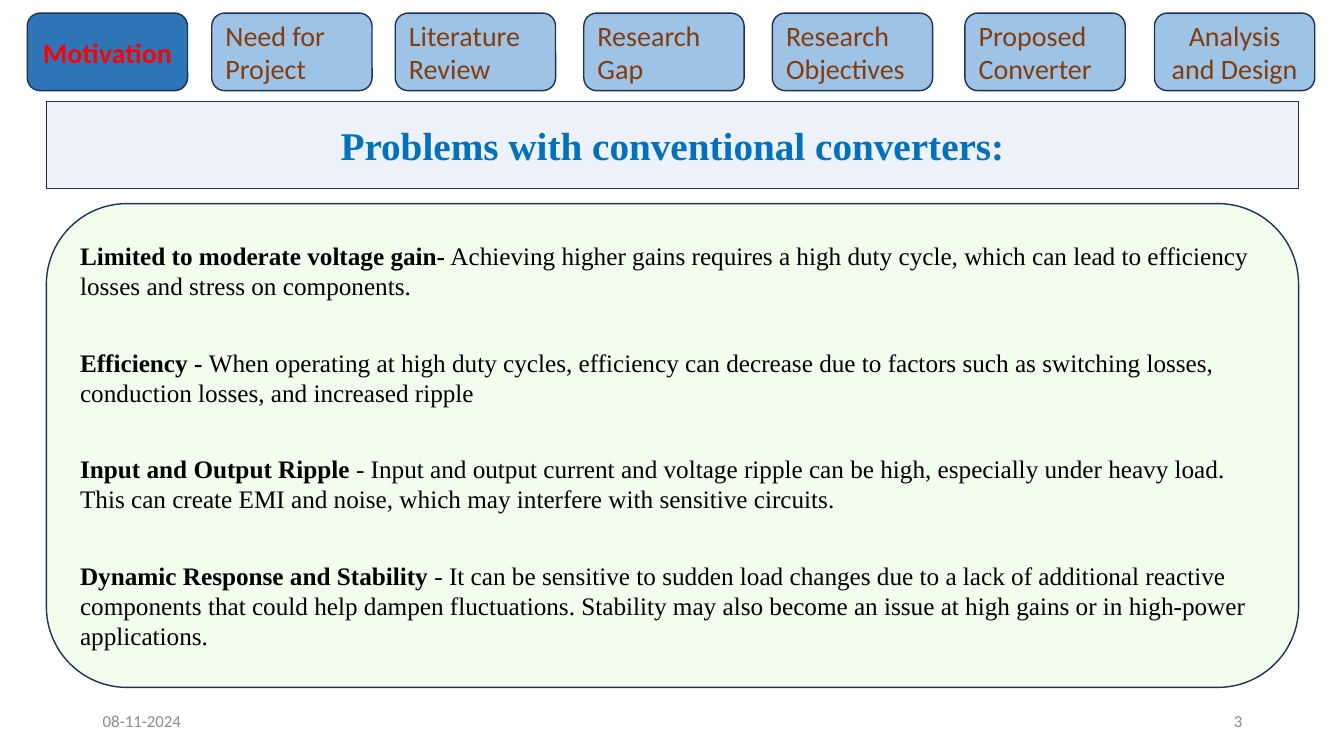
"""Build the slide on problems with conventional converters."""
from lxml import etree
from pptx import Presentation
from pptx.dml.color import RGBColor
from pptx.enum.shapes import MSO_SHAPE
from pptx.enum.text import MSO_ANCHOR, MSO_AUTO_SIZE, PP_ALIGN
from pptx.oxml.ns import qn
from pptx.util import Inches, Pt

ROUNDED = MSO_SHAPE.ROUNDED_RECTANGLE
MIDDLE = MSO_ANCHOR.MIDDLE
NO_AUTOFIT = MSO_AUTO_SIZE.NONE
LEFT, CENTER, RIGHT = PP_ALIGN.LEFT, PP_ALIGN.CENTER, PP_ALIGN.RIGHT

COLORS = {
    "outline": "1E3256",
    "active_tab": "2E75B6",
    "tab": "9DC3E6",
    "active_text": "FF0000",
    "tab_text": "843C0B",
    "heading_panel": "EDF1F9",
    "heading": "0070C0",
    "problems_panel": "F3FDED",
    "body": "000000",
    "footer": "8C8C8C",
}
SANS, SERIF = "Calibri", "Times New Roman"


def style_panel(panel, fill):
    panel.fill.solid()
    panel.fill.fore_color.rgb = RGBColor.from_string(COLORS[fill])
    panel.line.color.rgb = RGBColor.from_string(COLORS["outline"])
    panel.line.width = Pt(1)
    panel.text_frame.word_wrap = True
    panel.text_frame.auto_size = NO_AUTOFIT
    panel.text_frame.vertical_anchor = MIDDLE


def add_run(paragraph, text, font, size, color, bold=False):
    run = paragraph.add_run()
    run.text = text
    run.font.name = font
    run.font.size = Pt(size)
    run.font.bold = bold
    run.font.color.rgb = RGBColor.from_string(COLORS[color])


prs = Presentation()
prs.slide_width, prs.slide_height = Inches(13.33), Inches(7.5)
slide = prs.slides.add_slide(prs.slide_layouts[1])
heading, problems = slide.placeholders

for panel, top, height, fill in [
    (heading, 1.01, 0.86, "heading_panel"),
    (problems, 2.02, 4.8, "problems_panel"),
]:
    panel.left, panel.top = Inches(0.46), Inches(top)
    panel.width, panel.height = Inches(12.42), Inches(height)
    outline = etree.SubElement(panel.element.spPr, qn("a:prstGeom"), prst="roundRect")
    etree.SubElement(outline, qn("a:avLst"))
    style_panel(panel, fill)

title = heading.text_frame.paragraphs[0]
title.alignment = CENTER
title.space_after = Pt(6)
add_run(title, "Problems with conventional converters:", SERIF, 28, "heading", True)

PROBLEMS = [
    ("Limited to moderate voltage gain-",
     " Achieving higher gains requires a high duty cycle, which can lead to "
     "efficiency losses and stress on components."),
    ("Efficiency - ",
     "When operating at high duty cycles, efficiency can decrease due to factors "
     "such as switching losses, conduction losses, and increased ripple"),
    ("Input and Output Ripple ",
     "- Input and output current and voltage ripple can be high, especially under "
     "heavy load. This can create EMI and noise, which may interfere with "
     "sensitive circuits."),
    ("Dynamic Response and Stability ",
     "- It can be sensitive to sudden load changes due to a lack of additional "
     "reactive components that could help dampen fluctuations. Stability may also "
     "become an issue at high gains or in high-power applications."),
]
for index, (problem, explanation) in enumerate(PROBLEMS):
    frame = problems.text_frame
    paragraph = frame.add_paragraph() if index else frame.paragraphs[0]
    properties = paragraph._p.get_or_add_pPr()
    properties.set("marL", "0")
    properties.set("indent", "0")
    etree.SubElement(properties, qn("a:buNone"))
    paragraph.alignment = LEFT
    paragraph.space_before = Pt(0)
    paragraph.space_after = Pt(33 if index < len(PROBLEMS) - 1 else 6)
    add_run(paragraph, problem, SERIF, 18, "body", True)
    add_run(paragraph, explanation, SERIF, 18, "body")

TABS = [
    ("Motivation", 0.27, CENTER),
    ("Need for Project", 2.1, LEFT),
    ("Literature Review", 3.92, LEFT),
    ("Research Gap", 5.79, LEFT),
    ("Research Objectives", 7.66, LEFT),
    ("Proposed Converter", 9.57, LEFT),
    ("Analysis and Design", 11.45, CENTER),
]
for section, left, alignment in TABS:
    active = section == "Motivation"
    tab = slide.shapes.add_shape(
        ROUNDED, Inches(left), Inches(0.13), Inches(1.59), Inches(0.77))
    tab.shadow.inherit = False
    style_panel(tab, "active_tab" if active else "tab")
    label = tab.text_frame.paragraphs[0]
    label.alignment = alignment
    add_run(label, section, SANS, 20, "active_text" if active else "tab_text", active)

for text, left, alignment in [("08-11-2024", 0.92, LEFT), ("3", 9.42, RIGHT)]:
    footer = slide.shapes.add_textbox(
        Inches(left), Inches(6.95), Inches(3), Inches(0.4)).text_frame
    footer.word_wrap = True
    footer.vertical_anchor = MIDDLE
    footer.paragraphs[0].alignment = alignment
    add_run(footer.paragraphs[0], text, SANS, 12, "footer")

prs.save("out.pptx")
